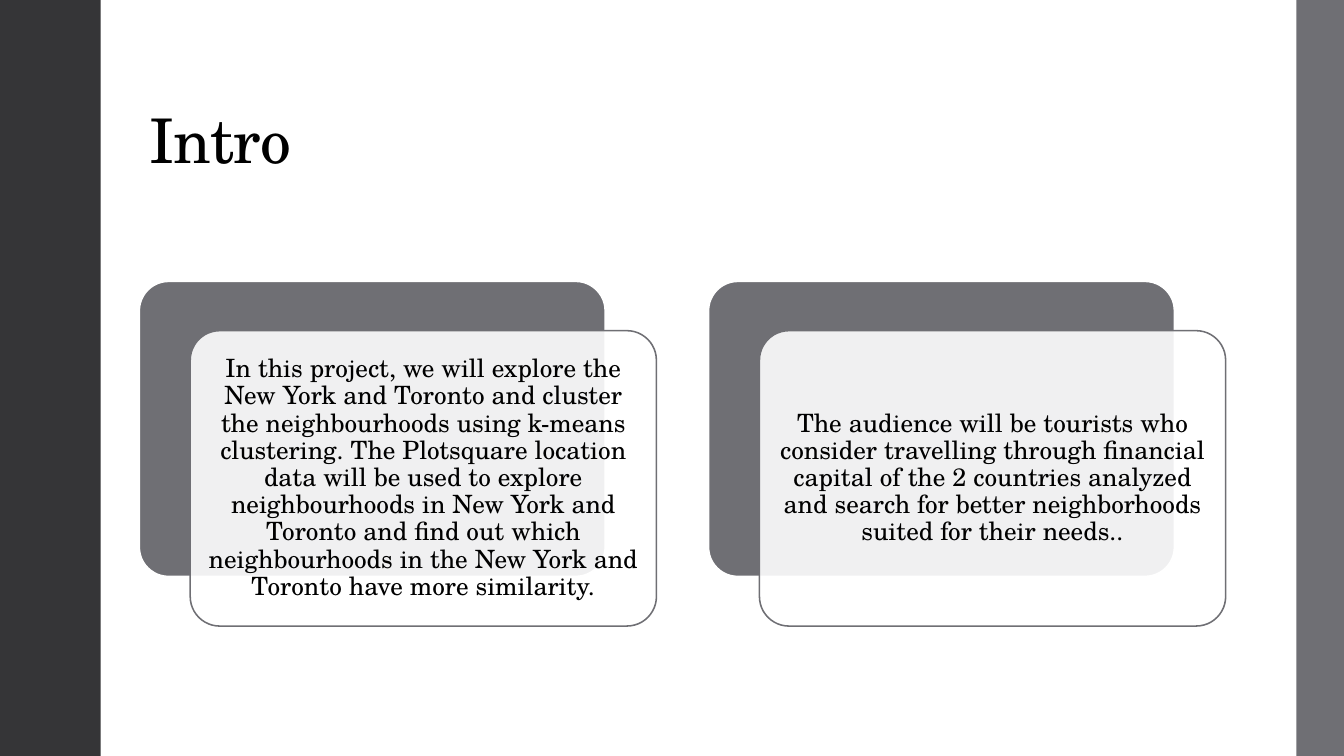
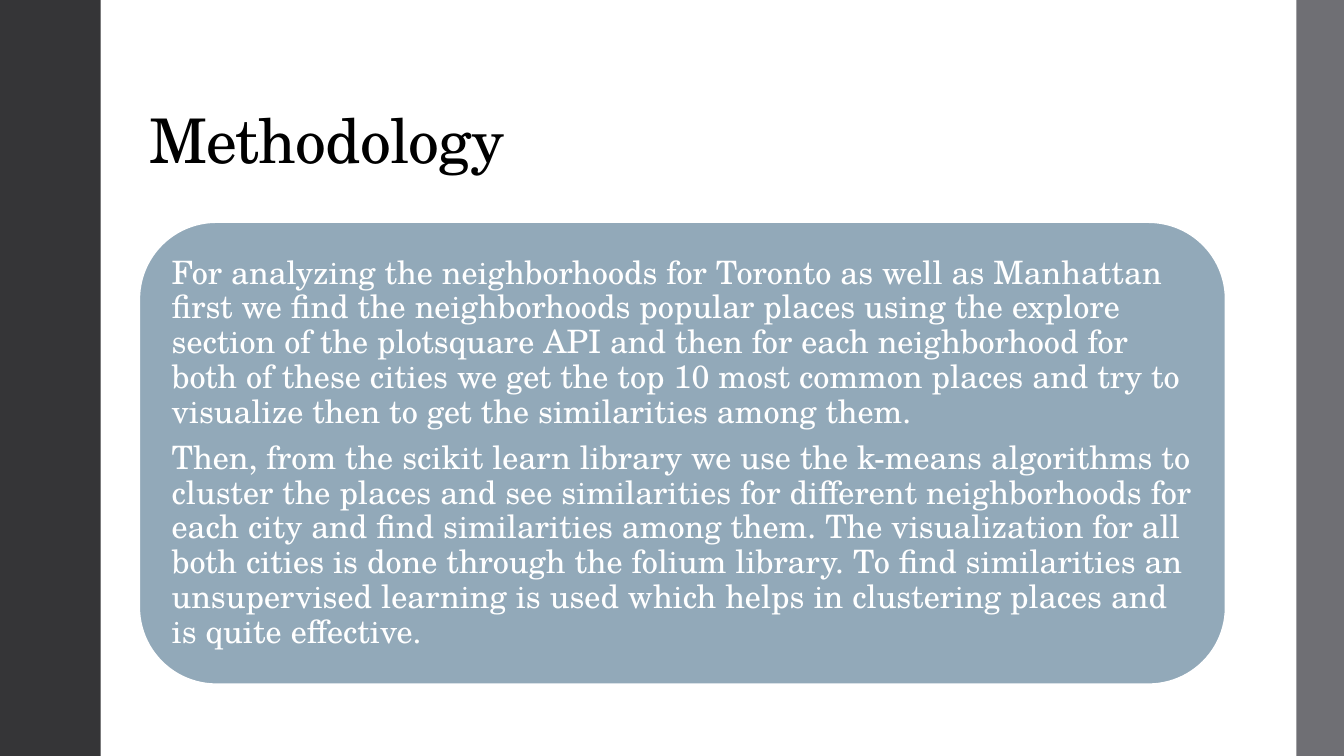
from pptx import Presentation
from pptx.dml.color import RGBColor
from pptx.enum.shapes import MSO_SHAPE
from pptx.enum.text import MSO_ANCHOR, PP_ALIGN
from pptx.oxml.ns import qn
from pptx.util import Pt
from lxml.etree import SubElement

WIDTH, HEIGHT = 960, 540
LEFT, CONTENT_WIDTH = 99.4, 776.1
FONT = "TeX Gyre Schola"
BLACK, WHITE = "000000", "FFFFFF"
CHARCOAL, GRAY, BLUE_GRAY = "353537", "6F6F74", "92A9B9"

INTRO_CARDS = [
    "In this project, we will explore the New York and Toronto and cluster the "
    "neighbourhoods using k-means clustering. The Plotsquare location data will be "
    "used to explore neighbourhoods in New York and Toronto and find out which "
    "neighbourhoods in the New York and Toronto have more similarity.",
    "The audience will be tourists who consider travelling through financial capital "
    "of the 2 countries analyzed and search for better neighborhoods suited for their "
    "needs..",
]
METHOD_PARAGRAPHS = [
    "For analyzing the neighborhoods for Toronto as well as Manhattan first we find "
    "the neighborhoods popular places using the explore section of the plotsquare API "
    "and then for each neighborhood for both of these cities we get the top 10 most "
    "common places and try to visualize then to get the similarities among them.",
    "Then, from the scikit learn library we use the k-means algorithms to cluster the "
    "places and see similarities for different neighborhoods for each city and find "
    "similarities among them. The visualization for all both cities is done through "
    "the folium library. To find similarities an unsupervised learning is used which "
    "helps in clustering places and is quite effective.",
]


def color(value):
    return RGBColor.from_string(value)


def write(shape, paragraphs, size, ink=BLACK, align=PP_ALIGN.LEFT,
          anchor=MSO_ANCHOR.MIDDLE, inset=7.2, spacing=0):
    frame = shape.text_frame
    frame.word_wrap = True
    frame.vertical_anchor = anchor
    frame.margin_left = frame.margin_right = Pt(inset)
    frame.margin_top = frame.margin_bottom = Pt(inset)
    for index, text in enumerate(paragraphs):
        para = frame.add_paragraph() if index else frame.paragraphs[0]
        para.alignment = align
        para.line_spacing = 0.9
        para.space_after = Pt(0.35 * size)
        span = para.add_run()
        span.text = text
        span.font.name = FONT
        span.font.size = Pt(size)
        span.font.color.rgb = color(ink)
        if spacing:
            span.font._element.set("spc", str(round(spacing * 100)))


class Deck:
    """Build slides that share side bands and a title style."""

    def __init__(self):
        self.file = Presentation()
        self.file.slide_width = Pt(WIDTH)
        self.file.slide_height = Pt(HEIGHT)
        self.page = None

    def add_page(self, title):
        self.page = self.file.slides.add_slide(self.file.slide_layouts[6])
        self.page.background.fill.solid()
        self.page.background.fill.fore_color.rgb = color(WHITE)
        box = self.page.shapes.add_textbox(Pt(LEFT), Pt(28.8), Pt(CONTENT_WIDTH), Pt(104.4))
        write(box, [title], 44, anchor=MSO_ANCHOR.BOTTOM, spacing=-0.5)
        self.block(0, 0, 72, HEIGHT, CHARCOAL)
        self.block(926, 0, WIDTH - 926, HEIGHT, GRAY)

    def block(self, left, top, width, height, fill, kind=MSO_SHAPE.RECTANGLE,
              line=None, line_width=1.35, opacity=100):
        shape = self.page.shapes.add_shape(kind, Pt(left), Pt(top), Pt(width), Pt(height))
        shape.shadow.inherit = False
        shape.fill.solid()
        shape.fill.fore_color.rgb = color(fill)
        if opacity < 100:
            tint = shape._element.spPr.find(qn("a:solidFill")).find(qn("a:srgbClr"))
            SubElement(tint, qn("a:alpha")).set("val", str(opacity * 1000))
        if line:
            shape.line.color.rgb = color(line)
            shape.line.width = Pt(line_width)
        else:
            shape.line.fill.background()
        return shape

    def panel(self, left, top, width, height, fill, radius, **style):
        shape = self.block(left, top, width, height, fill,
                           MSO_SHAPE.ROUNDED_RECTANGLE, **style)
        shape.adjustments[0] = radius
        return shape

    def layered_cards(self, texts, top=200.9, width=333, height=211, shift=(36.5, 35.3)):
        across, down = shift
        step = (CONTENT_WIDTH - width - across) / (len(texts) - 1)
        for index, text in enumerate(texts):
            left = LEFT + index * step
            self.panel(left, top, width, height, GRAY, 0.1, line=WHITE)
            card = self.panel(left + across, top + down, width, height, WHITE, 0.1,
                              line=GRAY, line_width=1.1, opacity=90)
            write(card, [text], 18, align=PP_ALIGN.CENTER, inset=5)


def main():
    deck = Deck()
    deck.add_page("Intro")
    deck.layered_cards(INTRO_CARDS)

    deck.add_page("Methodology")
    panel = deck.panel(LEFT, 158.6, CONTENT_WIDTH, 330.2, BLUE_GRAY, 0.1667, line=WHITE)
    write(panel, METHOD_PARAGRAPHS, 23, ink=WHITE)
    deck.file.save("out.pptx")


if __name__ == "__main__":
    main()
